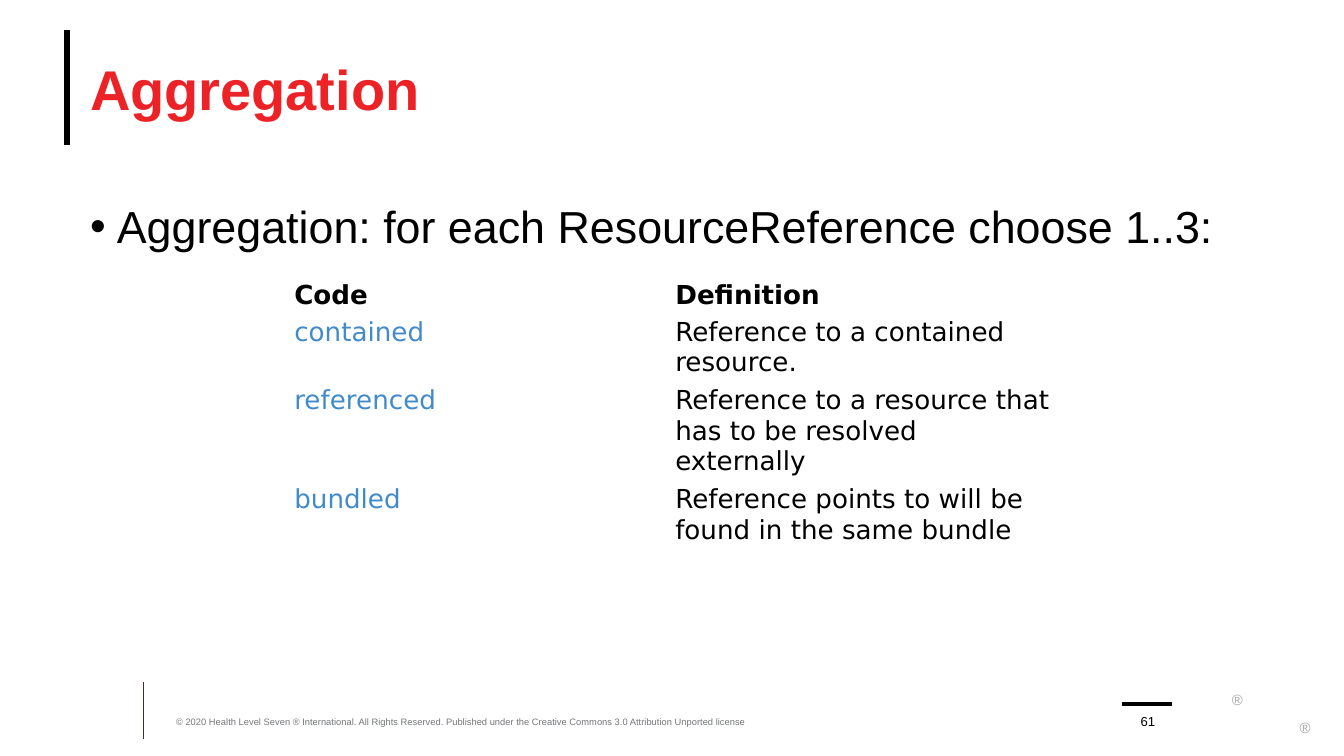
from pptx import Presentation
from pptx.dml.color import RGBColor
from pptx.enum.shapes import MSO_CONNECTOR
from pptx.enum.text import MSO_ANCHOR, PP_ALIGN
from pptx.oxml.ns import qn
from pptx.util import Inches, Pt
from lxml.etree import SubElement

# A 16:9 page
WIDTH = 10
HEIGHT = WIDTH * 9 / 16
BLACK, WHITE, RED, BLUE = "000000", "FFFFFF", "EC2227", "428BCA"
GREY, LIGHT_GREY, BROWN = "747679", "A6A6A6", "3D3029"

CODES = [
    ("Code", "Definition"),
    ("contained", "Reference to a contained resource."),
    ("referenced", "Reference to a resource that has to be resolved externally"),
    ("bundled", "Reference points to will be found in the same bundle"),
]


def across(percent):
    return Inches(WIDTH * percent / 100)


def down(percent):
    return Inches(HEIGHT * percent / 100)


def color(value):
    return RGBColor.from_string(value)


def area(left, top, width, height):
    """Turn percentages of the slide into a position and size."""
    return across(left), down(top), across(width), down(height)


def style(para, size, value, bold=False, name="Arial"):
    for span in para.runs:
        span.font.name = name
        span.font.size = Pt(size)
        span.font.bold = bold
        span.font.color.rgb = color(value)


def fill_frame(frame, text, anchor=MSO_ANCHOR.TOP, wrap=True):
    """Put text in a frame without insets and return its paragraph."""
    frame.margin_left = frame.margin_right = 0
    frame.margin_top = frame.margin_bottom = 0
    frame.word_wrap = wrap
    frame.vertical_anchor = anchor
    frame.text = text
    return frame.paragraphs[0]


def add_rule(page, start, end, value, weight):
    rule = page.shapes.add_connector(
        MSO_CONNECTOR.STRAIGHT,
        across(start[0]), down(start[1]), across(end[0]), down(end[1]))
    rule.line.color.rgb = color(value)
    rule.line.width = Pt(weight)
    SubElement(rule._element.spPr, qn("a:effectLst"))


def add_title(page, text):
    title = page.shapes.title
    title.left, title.top, title.width, title.height = area(6.7, 4, 90, 15.3)
    para = fill_frame(title.text_frame, text, MSO_ANCHOR.MIDDLE)
    para.alignment = PP_ALIGN.LEFT
    style(para, 30, RED, bold=True)


def add_text(page, place, text, size, value, **layout):
    box = page.shapes.add_textbox(*area(*place))
    para = fill_frame(box.text_frame, text, **layout)
    style(para, size, value)
    return para


def add_bullet(para):
    properties = para._p.get_or_add_pPr()
    properties.set("marL", str(Inches(0.2)))
    properties.set("indent", str(-Inches(0.2)))
    SubElement(properties, qn("a:buFont")).set("typeface", "Arial")
    SubElement(properties, qn("a:buChar")).set("char", "•")


def add_code_table(page, rows):
    heights = [4.8] + [8.9] * (len(rows) - 1)
    frame = page.shapes.add_table(
        len(rows), 2, *area(21.7, 36.7, 56.7, sum(heights)))
    table = frame.table
    for column in table.columns:
        column.width = across(28.35)
    for row_index, (texts, height) in enumerate(zip(rows, heights)):
        table.rows[row_index].height = down(height)
        header = row_index == 0
        for column_index, text in enumerate(texts):
            cell = table.cell(row_index, column_index)
            cell.fill.solid()
            cell.fill.fore_color.rgb = color(WHITE)
            cell.margin_left = cell.margin_right = Inches(0.02)
            cell.margin_top = cell.margin_bottom = Inches(0.02)
            cell.text = text
            value = BLUE if column_index == 0 and not header else BLACK
            style(cell.text_frame.paragraphs[0], 14, value, header, "DejaVu Sans")
            clear_borders(cell)


def clear_borders(cell):
    properties = cell._tc.get_or_add_tcPr()
    for index, side in enumerate(("lnL", "lnR", "lnT", "lnB")):
        border = properties.makeelement(qn("a:" + side), {"w": "0"})
        SubElement(border, qn("a:noFill"))
        properties.insert(index, border)


def add_footer(page):
    add_rule(page, (10.7, 90.2), (10.7, 97.7), BROWN, 0.5)
    add_rule(page, (83.5, 93.1), (87.2, 93.1), BLACK, 2)
    for left, top in ((91.65, 91.4), (96.7, 95)):
        add_text(page, (left, top, 1.1, 1.6), "®", 8, LIGHT_GREY, wrap=False)
    add_text(
        page, (13.1, 93.2, 49.5, 3),
        "© 2020 Health Level Seven ® International. All Rights Reserved. "
        "Published under the Creative Commons 3.0 Attribution Unported license",
        5, GREY, anchor=MSO_ANCHOR.BOTTOM)
    number = add_text(page, (83.9, 93.1, 3, 3.4), "61", 7, BLACK,
                      anchor=MSO_ANCHOR.BOTTOM)
    number.alignment = PP_ALIGN.CENTER


def main():
    deck = Presentation()
    deck.slide_width, deck.slide_height = Inches(WIDTH), Inches(HEIGHT)
    page = deck.slides.add_slide(deck.slide_layouts[5])

    # Heading with its side bar
    add_rule(page, (5, 4), (5, 19.2), BLACK, 3.25)
    add_title(page, "Aggregation")

    # Statement and the codes it refers to
    statement = add_text(
        page, (6.7, 26.3, 90, 60.3),
        "Aggregation: for each ResourceReference choose 1..3:", 24, BLACK)
    add_bullet(statement)
    add_code_table(page, CODES)

    add_footer(page)
    deck.save("out.pptx")


if __name__ == "__main__":
    main()
